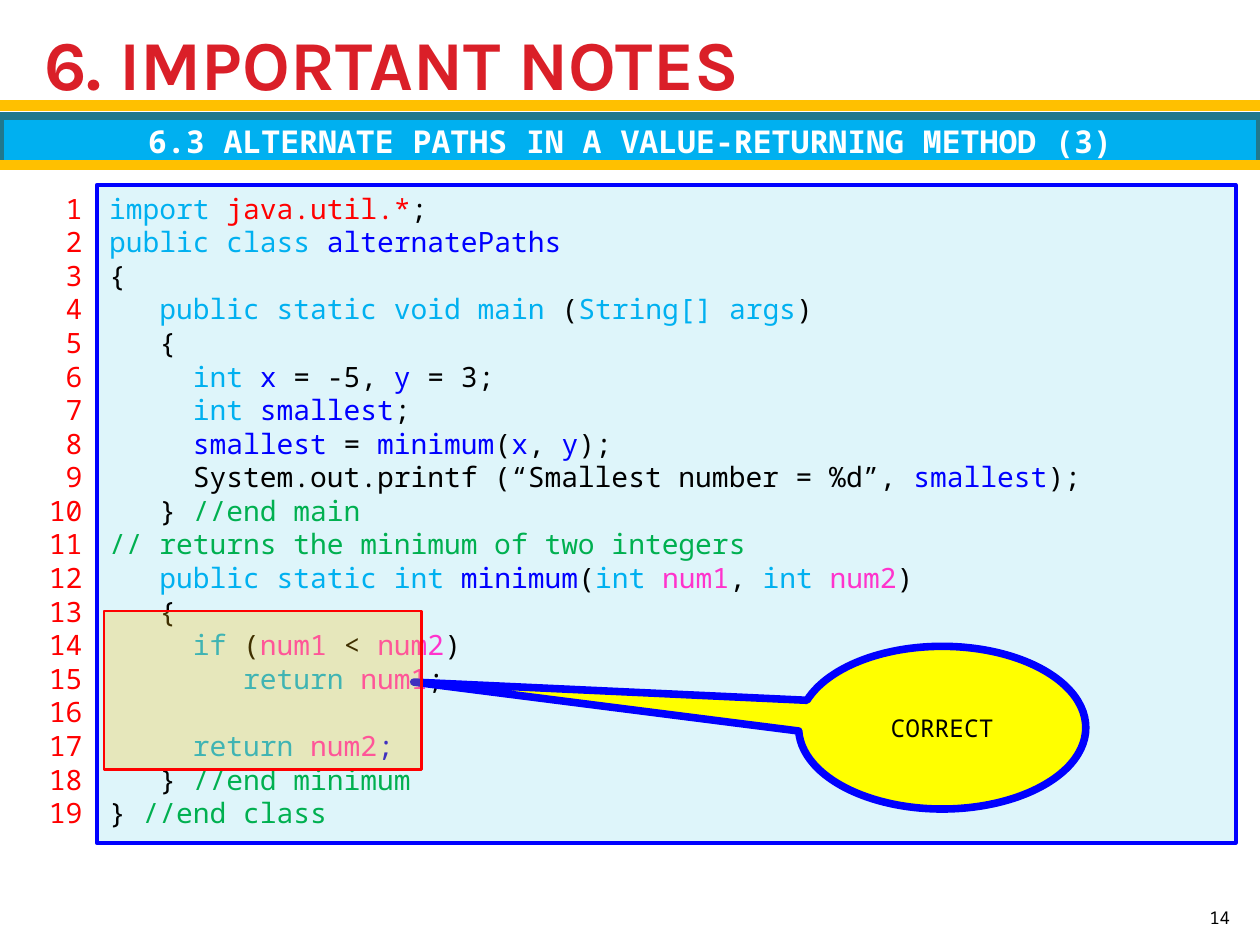
from dataclasses import dataclass
from typing import NamedTuple, Optional

from lxml.etree import SubElement
from pptx import Presentation
from pptx.dml.color import RGBColor
from pptx.enum.shapes import MSO_CONNECTOR, MSO_SHAPE
from pptx.enum.text import MSO_ANCHOR as Anchor, PP_ALIGN as Align
from pptx.oxml.ns import qn
from pptx.util import Cm, Pt


@dataclass(frozen=True)
class Theme:
    title: str = "DA1F28"
    rule: str = "FFC000"
    banner: str = "00B0F0"
    banner_edge: str = "21788D"
    white: str = "FFFFFF"
    black: str = "000000"
    panel: str = "DEF5FA"
    blue: str = "0000FF"
    red: str = "FF0000"
    yellow: str = "FFFF00"
    keyword: str = "00B0F0"
    parameter: str = "FF33CC"
    comment: str = "00B050"
    title_font: str = "Karla"
    mono_font: str = "Noto Sans Mono"
    title_size: float = 40
    banner_size: float = 18
    code_size: float = 16
    code_leading: float = 19.2
    callout_size: float = 14
    number_size: float = 10


class Box(NamedTuple):
    left: float
    top: float
    width: float
    height: float

    def lengths(self) -> list:
        return [Cm(value) for value in self]


class Panel(NamedTuple):
    preset: MSO_SHAPE
    box: Box
    fill: str
    edge: str
    edge_width: float
    opacity: Optional[int] = None


THEME = Theme()
KEY, NAME, PARAM = THEME.keyword, THEME.blue, THEME.parameter
NOTE, PLAIN, LIBRARY = THEME.comment, THEME.black, THEME.red

SLIDE_WIDTH, SLIDE_HEIGHT = 25.4, 19.05
CODE_TOP, CODE_HEIGHT = 3.73, 13.26

BANNER = Panel(MSO_SHAPE.RECTANGLE, Box(0, 2.34, SLIDE_WIDTH, 0.99),
               THEME.banner, THEME.banner_edge, 4.33)
LISTING = Panel(MSO_SHAPE.RECTANGLE, Box(1.95, CODE_TOP, 22.96, CODE_HEIGHT),
                THEME.panel, THEME.blue, 2.25)
VERDICT = Panel(MSO_SHAPE.OVAL_CALLOUT, Box(16.1, 13.03, 5.79, 3.28),
                THEME.yellow, THEME.blue, 4.33)
HIGHLIGHT = Panel(MSO_SHAPE.RECTANGLE, Box(2.1, 12.32, 6.4, 3.2),
                  THEME.rule, THEME.red, 1.5, opacity=25)

CODE = [
    [("import ", KEY), ("java.util.*", LIBRARY), (";", PLAIN)],
    [("public class ", KEY), ("alternatePaths", NAME)],
    [("{", PLAIN)],
    [("   public static void main ", KEY), ("(", PLAIN),
     ("String[] args", KEY), (")", PLAIN)],
    [("   {", PLAIN)],
    [("     int ", KEY), ("x ", NAME), ("= -5, ", PLAIN), ("y", NAME),
     (" = 3;", PLAIN)],
    [("     int ", KEY), ("smallest", NAME), (";", PLAIN)],
    [("     smallest ", NAME), ("= ", PLAIN), ("minimum", NAME), ("(", PLAIN),
     ("x", NAME), (", ", PLAIN), ("y", NAME), (");", PLAIN)],
    [("     System.out.printf (“Smallest number = %d”, ", PLAIN),
     ("smallest", NAME), (");", PLAIN)],
    [("   }", PLAIN), (" //end main", NOTE)],
    [("// returns the minimum of two integers", NOTE)],
    [("   public static int ", KEY), ("minimum", NAME), ("(", PLAIN),
     ("int ", KEY), ("num1", PARAM), (", ", PLAIN), ("int ", KEY),
     ("num2", PARAM), (")", PLAIN)],
    [("   {", PLAIN)],
    [("     if ", KEY), ("(", PLAIN), ("num1 ", PARAM), ("< ", PLAIN),
     ("num2", PARAM), (")", PLAIN)],
    [("        return ", KEY), ("num1", PARAM), (";", PLAIN)],
    [],
    [("     return ", KEY), ("num2", PARAM), (";", NAME)],
    [("   }", PLAIN), (" //end minimum", NOTE)],
    [("} ", PLAIN), ("//end class", NOTE)],
]


def rgb(code: str) -> RGBColor:
    return RGBColor.from_string(code)


def style(font, size: float, color: str, bold: bool = False,
          face: str = THEME.mono_font) -> None:
    font.name, font.size, font.bold = face, Pt(size), bold
    font.color.rgb = rgb(color)


def write(frame, text: str, size: float, color: str, align: Align,
          anchor: Anchor, bold: bool = False,
          face: str = THEME.mono_font) -> None:
    """Fill a frame with text in one style, one paragraph per line."""
    frame.text = text
    frame.word_wrap = True
    frame.vertical_anchor = anchor
    for paragraph in frame.paragraphs:
        paragraph.alignment = align
        for run in paragraph.runs:
            style(run.font, size, color, bold, face)


def add_panel(slide, panel: Panel):
    shape = slide.shapes.add_shape(panel.preset, *panel.box.lengths())
    shape.shadow.inherit = False
    shape.fill.solid()
    shape.fill.fore_color.rgb = rgb(panel.fill)
    if panel.opacity is not None:
        tint = shape.fill._xPr.find(qn("a:solidFill"))[0]
        SubElement(tint, qn("a:alpha"), val=str(panel.opacity * 1000))
    shape.line.color.rgb = rgb(panel.edge)
    shape.line.width = Pt(panel.edge_width)
    SubElement(shape.line._get_or_add_ln(), qn("a:round"))
    return shape


def add_rule(slide, top: float) -> None:
    rule = slide.shapes.add_connector(
        MSO_CONNECTOR.STRAIGHT, 0, Cm(top), Cm(SLIDE_WIDTH), Cm(top))
    rule.line.color.rgb = rgb(THEME.rule)
    rule.line.width = Pt(6)
    SubElement(rule._element.spPr, qn("a:effectLst"))


def set_leading(frame) -> None:
    for paragraph in frame.paragraphs:
        paragraph.line_spacing = Pt(THEME.code_leading)


def add_listing(slide) -> None:
    frame = add_panel(slide, LISTING).text_frame
    frame.vertical_anchor = Anchor.TOP
    for index, line in enumerate(CODE):
        paragraph = frame.add_paragraph() if index else frame.paragraphs[0]
        paragraph.alignment = Align.LEFT
        paragraph.font.size = Pt(THEME.code_size)
        for text, color in line:
            run = paragraph.add_run()
            run.text = text
            style(run.font, THEME.code_size, color)
    set_leading(frame)

    gutter = slide.shapes.add_textbox(
        *Box(0.51, CODE_TOP, 1.4, CODE_HEIGHT).lengths()).text_frame
    numbers = "\n".join(str(n) for n in range(1, len(CODE) + 1))
    write(gutter, numbers, THEME.code_size, THEME.red, Align.RIGHT, Anchor.TOP)
    set_leading(gutter)


def main() -> None:
    deck = Presentation()
    deck.slide_width, deck.slide_height = Cm(SLIDE_WIDTH), Cm(SLIDE_HEIGHT)
    slide = deck.slides.add_slide(deck.slide_layouts[5])

    add_rule(slide, 2.13)
    title = slide.shapes.title
    title.left, title.top, title.width, title.height = Box(
        0.64, 0.43, 24.05, 1.65).lengths()
    write(title.text_frame, "6. IMPORTANT NOTES", THEME.title_size,
          THEME.title, Align.LEFT, Anchor.MIDDLE, True, THEME.title_font)

    page = slide.shapes.add_textbox(*Box(24.03, 17.81, 1.02, 1.02).lengths())
    write(page.text_frame, "14", THEME.number_size, THEME.black,
          Align.RIGHT, Anchor.BOTTOM)

    banner = add_panel(slide, BANNER)
    write(banner.text_frame,
          "6.3 ALTERNATE PATHS IN A VALUE-RETURNING METHOD (3)",
          THEME.banner_size, THEME.white, Align.CENTER, Anchor.MIDDLE, True)
    add_rule(slide, 3.33)

    add_listing(slide)
    verdict = add_panel(slide, VERDICT)
    verdict.adjustments[0], verdict.adjustments[1] = -1.84, -0.28
    write(verdict.text_frame, "CORRECT", THEME.callout_size, THEME.black,
          Align.CENTER, Anchor.MIDDLE)
    add_panel(slide, HIGHLIGHT)
    deck.save("out.pptx")


if __name__ == "__main__":
    main()
